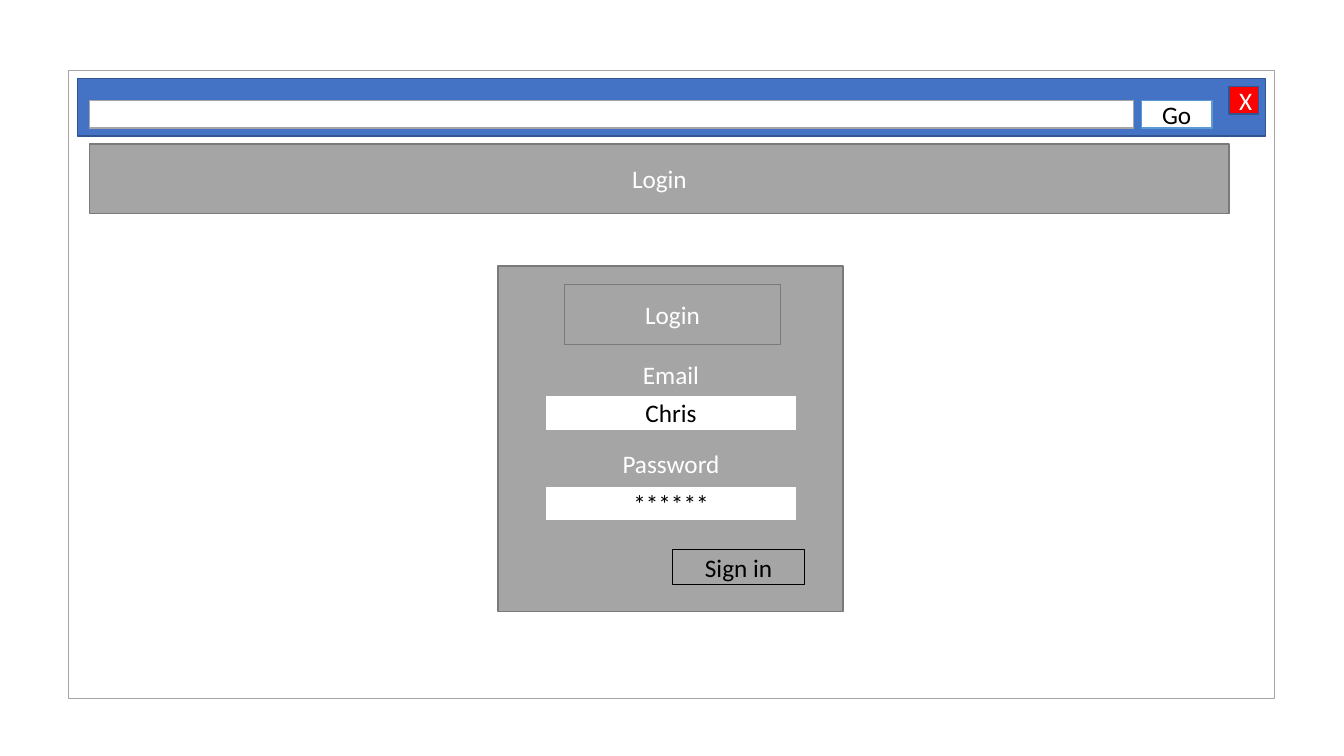
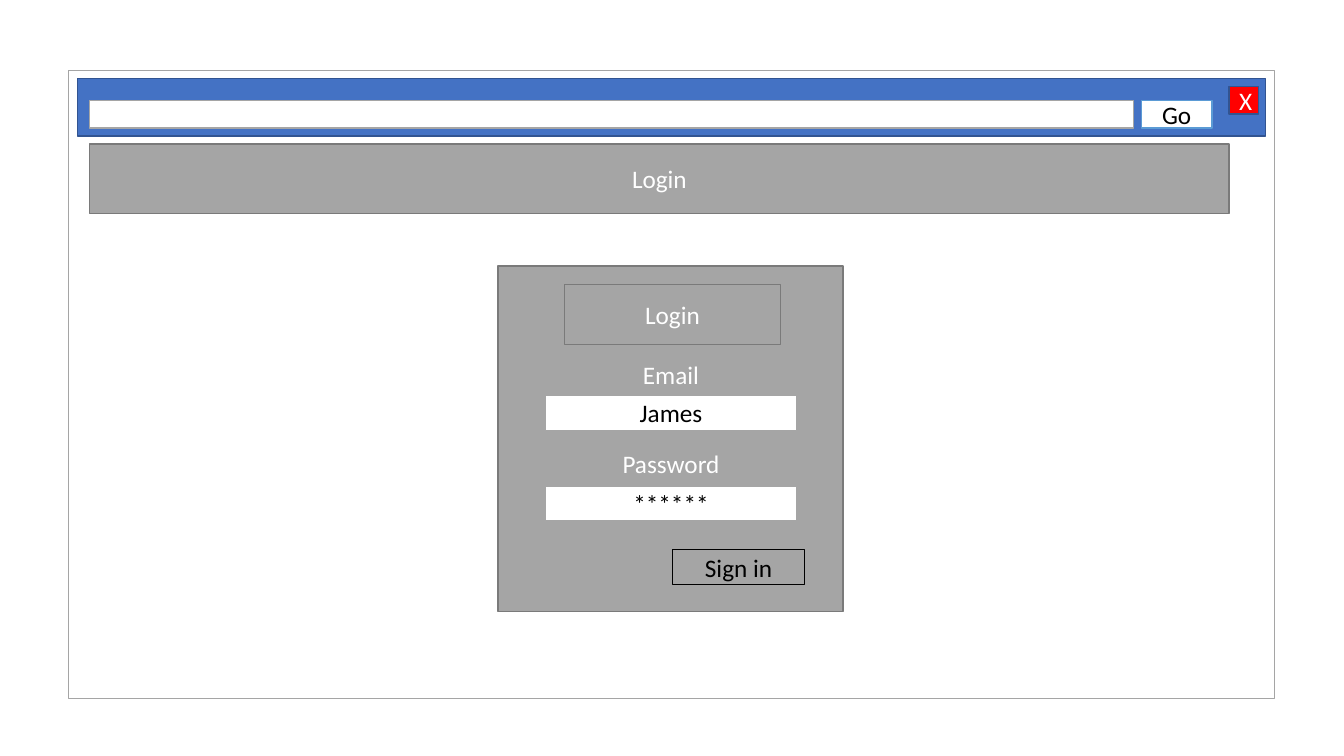
from pptx import Presentation
from pptx.dml.color import RGBColor
from pptx.enum.shapes import MSO_SHAPE
from pptx.enum.text import MSO_ANCHOR, MSO_AUTO_SIZE, PP_ALIGN
from pptx.util import Inches, Pt

RECTANGLE = MSO_SHAPE.RECTANGLE
MIDDLE = MSO_ANCHOR.MIDDLE
CENTER = PP_ALIGN.CENTER
NO_AUTOFIT = MSO_AUTO_SIZE.NONE

WHITE = RGBColor(0xFF, 0xFF, 0xFF)
BLACK = RGBColor(0x00, 0x00, 0x00)
RED = RGBColor(0xFF, 0x00, 0x00)
BLUE = RGBColor(0x44, 0x72, 0xC4)
DARK_BLUE = RGBColor(0x32, 0x54, 0x91)
LIGHT_BLUE = RGBColor(0x5B, 0x9B, 0xD5)
GRAY = RGBColor(0xA5, 0xA5, 0xA5)
DARK_GRAY = RGBColor(0x7A, 0x7A, 0x7A)

FONT = "Calibri"
TEXT_SIZE = 18
TITLE_ONLY = 5

USERS = ["Chris", "James"]
PASSWORD = "******"
TITLE = "Login"

# style: fill, line colour, line width, text colour
STYLES = {
    "plain": (WHITE, GRAY, 1, BLACK),
    "bar": (BLUE, DARK_BLUE, 1, WHITE),
    "close": (RED, DARK_BLUE, 1, WHITE),
    "go": (WHITE, LIGHT_BLUE, 1, BLACK),
    "panel": (GRAY, DARK_GRAY, 1, WHITE),
    "label": (GRAY, None, 0, WHITE),
    "button": (None, BLACK, 0.75, BLACK),
}

BROWSER = [
    ("plain", (0.68, 0.7, 11.96, 6.23), ""),
    ("bar", (0.77, 0.78, 11.78, 0.57), ""),
    ("plain", (0.89, 1, 10.35, 0.27), ""),
    ("close", (12.19, 0.86, 0.29, 0.27), "X"),
    ("go", (11.32, 1, 0.7, 0.27), "Go"),
]
TITLE_AREA = (0.89, 1.43, 11.3, 0.69)
LOGIN_PANEL = [
    ("panel", (4.94, 2.64, 3.42, 3.43), ""),
    ("panel", (5.6, 2.82, 2.14, 0.6), "Login"),
    ("button", (6.67, 5.45, 1.31, 0.35), "Sign in"),
]
FIELD_LEFT, FIELD_WIDTH, FIELD_HEIGHT = 5.41, 2.49, 0.35
FIELD_ROWS = [("Email", 3.54, 3.92), ("Password", 4.42, 4.82)]


def format_box(box, style, text):
    fill, line, line_width, text_color = STYLES[style]
    if fill is None:
        box.fill.background()
    else:
        box.fill.solid()
        box.fill.fore_color.rgb = fill
    if line is None:
        box.line.fill.background()
    else:
        box.line.color.rgb = line
        box.line.width = Pt(line_width)
    if not text:
        return
    frame = box.text_frame
    frame.text = text
    frame.word_wrap = True
    frame.auto_size = NO_AUTOFIT
    frame.vertical_anchor = MIDDLE
    paragraph = frame.paragraphs[0]
    paragraph.alignment = CENTER
    font = paragraph.runs[0].font
    font.name = FONT
    font.size = Pt(TEXT_SIZE)
    font.color.rgb = text_color


def add_box(page, style, area, text):
    box = page.shapes.add_shape(RECTANGLE, *map(Inches, area))
    box.shadow.inherit = False
    format_box(box, style, text)


def place_title(page, text):
    title = page.shapes.title
    title.left, title.top, title.width, title.height = map(Inches, TITLE_AREA)
    format_box(title, "panel", text)
    title.element.getparent().append(title.element)


def add_fields(page, values):
    for (label, label_top, value_top), value in zip(FIELD_ROWS, values):
        for style, top, text in (("label", label_top, label), ("plain", value_top, value)):
            add_box(page, style, (FIELD_LEFT, top, FIELD_WIDTH, FIELD_HEIGHT), text)


def add_login_page(deck, user):
    page = deck.slides.add_slide(deck.slide_layouts[TITLE_ONLY])
    for style, area, text in BROWSER:
        add_box(page, style, area, text)
    place_title(page, TITLE)
    for style, area, text in LOGIN_PANEL:
        add_box(page, style, area, text)
    add_fields(page, (user, PASSWORD))


deck = Presentation()
deck.slide_width = Inches(13.33)
deck.slide_height = Inches(7.5)
for user in USERS:
    add_login_page(deck, user)
deck.save("out.pptx")
